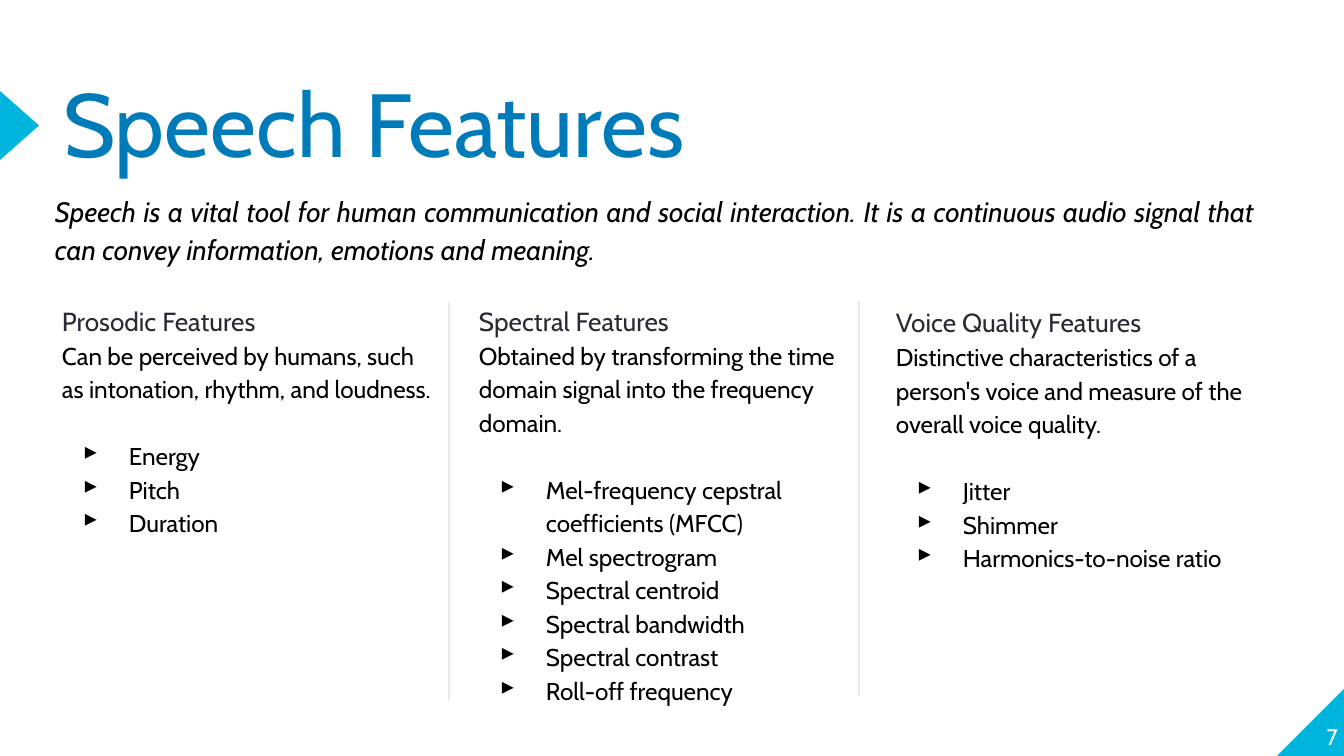
import pptx
import pptx.util
import pptx.dml.color
import pptx.enum.shapes
import pptx.enum.text
import pptx.oxml.ns
import lxml.etree

SCALE = 9144000 / 1344
HUES = {"cyan": "00B5DD", "blue": "007BB9", "dark": "2B2A35",
        "black": "000000", "rule": "E9EAF2", "white": "FFFFFF"}
KIND = pptx.enum.shapes.MSO_SHAPE
ALIGN = pptx.enum.text.PP_ALIGN
ANCHOR = pptx.enum.text.MSO_ANCHOR
qn = pptx.oxml.ns.qn
rgb = pptx.dml.color.RGBColor.from_string


def px(*nums):
    return [pptx.util.Emu(round(n * SCALE)) for n in nums]


def write(text, box=None, frame=None, size=13, hue="black", italic=False,
          align=ALIGN.LEFT, lead=1.15, before=0, bullet=False,
          inset=0, anchor=ANCHOR.TOP):
    """Add a paragraph to frame, or start a new text box at box."""
    if frame is None:
        frame = deck_page.shapes.add_textbox(*px(*box)).text_frame
        frame.word_wrap = True
        frame.vertical_anchor = anchor
        frame.margin_left, frame.margin_top = px(inset, inset)
        frame.margin_right, frame.margin_bottom = px(inset, inset)
        para = frame.paragraphs[0]
    else:
        para = frame.add_paragraph()
    para.alignment = align
    para.line_spacing = lead
    para.space_before = pptx.util.Pt(before)
    if bullet:
        props = para._p.get_or_add_pPr()
        left, hang = px(67, -46)
        props.set("marL", str(left))
        props.set("indent", str(hang))
        tint = lxml.etree.SubElement(props, qn("a:buClr"))
        lxml.etree.SubElement(tint, qn("a:srgbClr"), val=HUES["black"])
        lxml.etree.SubElement(props, qn("a:buChar"), char="▸")
    run = para.add_run()
    run.text = text
    font = run.font
    font.name = "Cabin"
    font.size = pptx.util.Pt(size)
    font.italic = italic
    font.color.rgb = rgb(HUES[hue])
    return frame


deck = pptx.Presentation()
deck.slide_width, deck.slide_height = px(1344, 756)
deck_page = deck.slides.add_slide(deck.slide_layouts[6])

# Corner and title marker
for kind, box, turn, flip in [
    (KIND.RIGHT_TRIANGLE, (1277, 687, 69, 69), 0, True),
    (KIND.ISOSCELES_TRIANGLE, (-15, 106, 69, 39), 90, False),
]:
    mark = deck_page.shapes.add_shape(kind, *px(*box))
    mark.shadow.inherit = False
    mark.fill.solid()
    mark.fill.fore_color.rgb = rgb(HUES["cyan"])
    mark.line.fill.background()
    mark.rotation = turn
    if flip:
        mark._element.spPr.xfrm.set("flipH", "1")

write("Speech Features", box=(63, 89, 1207, 109), size=48, hue="blue", lead=0.8)
write("Speech is a vital tool for human communication and social interaction. "
      "It is a continuous audio signal that can convey information, emotions "
      "and meaning.",
      box=(42, 176, 1226, 99), size=15, italic=True, align=ALIGN.JUSTIFY,
      inset=13)

# Three feature columns
groups = [
    ("Prosodic Features", 1.1,
     "Can be perceived by humans, such as intonation, rhythm, and loudness.",
     ["Energy", "Pitch", "Duration"]),
    ("Spectral Features", 1.1,
     "Obtained by transforming the time domain signal into the frequency domain.",
     ["Mel-frequency cepstral coefficients (MFCC)", "Mel spectrogram",
      "Spectral centroid", "Spectral bandwidth", "Spectral contrast",
      "Roll-off frequency"]),
    ("Voice Quality Features", 1.15,
     "Distinctive characteristics of a person's voice and measure of the "
     "overall voice quality.",
     ["Jitter", "Shimmer", "Harmonics-to-noise ratio"]),
]
for col, (head, lead, about, items) in enumerate(groups):
    frame = write(head, box=(62 + col * 417, 302, 376, 394), size=14,
                  hue="dark", lead=lead)
    write(about, frame=frame)
    for row, item in enumerate(items):
        write(item, frame=frame, bullet=True, before=0 if row else 18)

# Column rules
for x, top, end in [(449, 302, 701), (859, 301, 696)]:
    rule = deck_page.shapes.add_connector(
        pptx.enum.shapes.MSO_CONNECTOR.STRAIGHT, *px(x, top, x, end))
    rule.line.color.rgb = rgb(HUES["rule"])
    rule.line.width = pptx.util.Pt(0.75)
    lxml.etree.SubElement(rule._element.spPr, qn("a:effectLst"))

write("7", box=(1271, 681, 67, 69), size=12, hue="white", align=ALIGN.RIGHT,
      lead=1.0, anchor=ANCHOR.BOTTOM)

deck.save("out.pptx")
